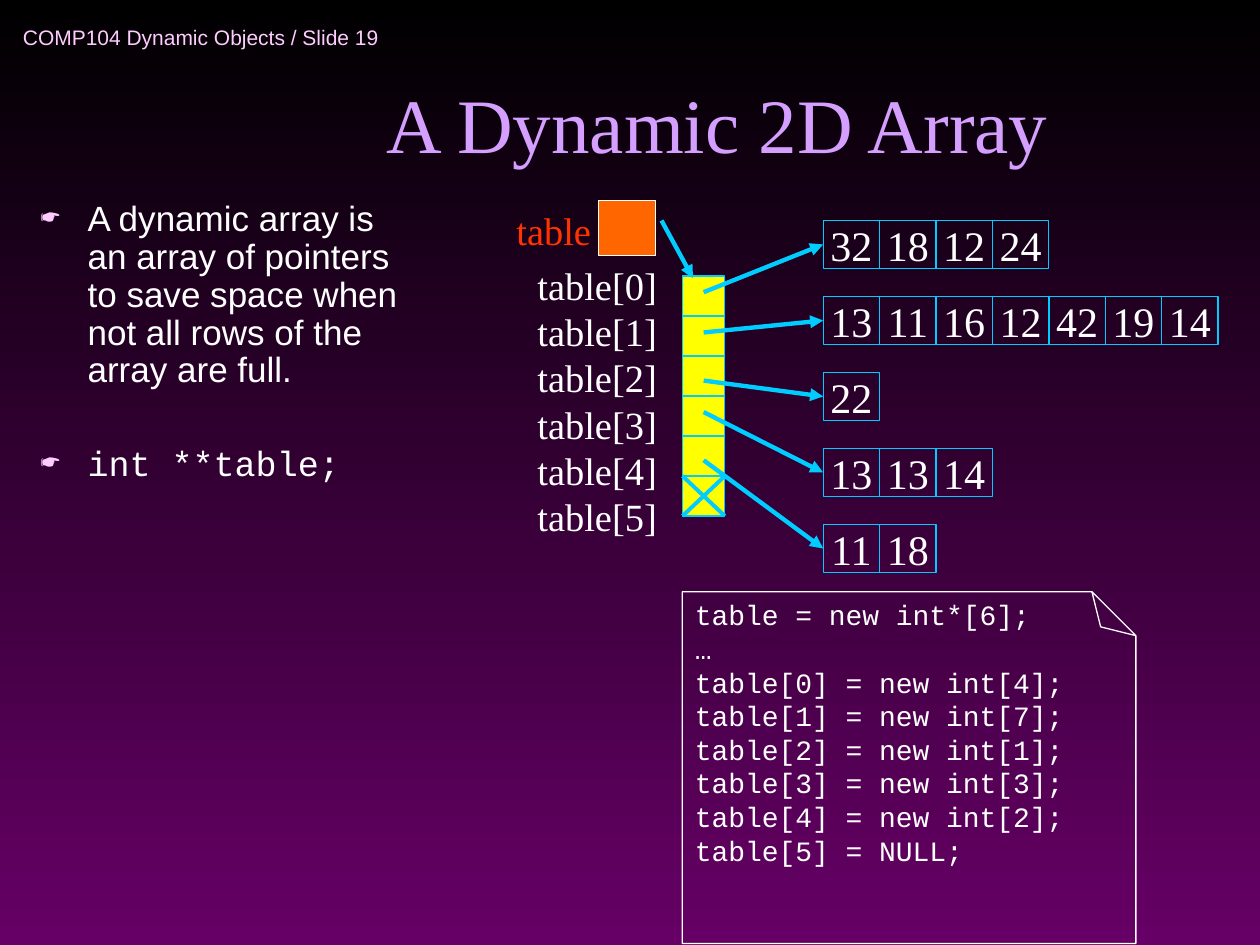
from lxml.etree import SubElement
from pptx import Presentation
from pptx.dml.color import RGBColor
from pptx.enum.shapes import MSO_CONNECTOR, MSO_SHAPE
from pptx.enum.text import MSO_ANCHOR as Anchor, MSO_AUTO_SIZE as AutoSize, PP_ALIGN as Align
from pptx.oxml.ns import qn
from pptx.util import Pt

COLORS = {
    "black": "000000", "purple": "660066", "white": "FFFFFF", "pink": "FFCCFF",
    "lilac": "D49FFF", "cyan": "00CCFF", "yellow": "FFFF00", "orange": "FF6600",
    "red": "FF3300",
}
SERIF, SANS, MONO = "Times New Roman", "Arial", "Courier New"

ROWS = [
    [32, 18, 12, 24],
    [13, 11, 16, 12, 42, 19, 14],
    [22],
    [13, 13, 14],
    [11, 18],
]
ARROW_STARTS = [167, 190, 217.5, 235.5, 263]
CODE = [
    "table = new int*[6];",
    "…",
    "table[0] = new int[4];",
    "table[1] = new int[7];",
    "table[2] = new int[1];",
    "table[3] = new int[3];",
    "table[4] = new int[2];",
    "table[5] = NULL;",
]

COLUMN_LEFT, COLUMN_TOP, COLUMN_WIDTH = 390, 157.7, 24.2
SLOTS, SLOT_HEIGHT = 6, 22.86
ROW_LEFT, ROW_TOP, ROW_PITCH = 470.4, 126, 43.44
CELL_WIDTH, CELL_HEIGHT = 32.24, 27.36


def color(name):
    return RGBColor.from_string(COLORS[name])


def write(shape, *lines, size, font=SERIF, ink="white", align=Align.LEFT,
          anchor=Anchor.TOP, wrap=True, fit=AutoSize.NONE):
    """Fill a shape with one paragraph per line and return the paragraphs."""
    frame = shape.text_frame
    frame.text = "\n".join(lines)
    frame.word_wrap = wrap
    frame.auto_size = fit
    frame.vertical_anchor = anchor
    for para in frame.paragraphs:
        para.alignment = align
        for span in para.runs:
            span.font.size = Pt(size)
            span.font.name = font
            span.font.color.rgb = color(ink)
    return frame.paragraphs


def add_text(page, left, top, width, height, *lines, **style):
    box = page.shapes.add_textbox(Pt(left), Pt(top), Pt(width), Pt(height))
    return write(box, *lines, **style)


def add_box(page, left, top, width, height, fill=None, line="cyan", kind=MSO_SHAPE.RECTANGLE):
    box = page.shapes.add_shape(kind, Pt(left), Pt(top), Pt(width), Pt(height))
    box.shadow.inherit = False
    if fill:
        box.fill.solid()
        box.fill.fore_color.rgb = color(fill)
    else:
        box.fill.background()
    box.line.color.rgb = color(line)
    box.line.width = Pt(0.75)
    return box


def add_line(page, start, end, width, arrow=False):
    line = page.shapes.add_connector(MSO_CONNECTOR.STRAIGHT, *map(Pt, start + end))
    line.line.color.rgb = color("cyan")
    line.line.width = Pt(width)
    properties = line._element.spPr
    if arrow:
        SubElement(properties.find(qn("a:ln")), qn("a:tailEnd"), type="triangle")
    SubElement(properties, qn("a:effectLst"))
    return line


def add_bullet(para):
    properties = para._p.get_or_add_pPr()
    properties.set("marL", str(Pt(27)))
    properties.set("indent", str(-Pt(27)))
    bullet_color = SubElement(properties, qn("a:buClr"))
    SubElement(bullet_color, qn("a:srgbClr"), val=COLORS["pink"])
    SubElement(properties, qn("a:buSzPct"), val="75000")
    SubElement(properties, qn("a:buChar"), char="☛")
    para.line_spacing = 0.9


def paint_background(page):
    fill = page.background.fill
    fill.gradient()
    fill.gradient_angle = 270
    for stop, name in zip(fill.gradient_stops, ("black", "purple")):
        stop.color.rgb = color(name)


def add_title(page, text):
    title = page.shapes.title
    title.left, title.top, title.width, title.height = Pt(100), Pt(46), Pt(620), Pt(54)
    write(title, text, size=44, ink="lilac", align=Align.CENTER, anchor=Anchor.BOTTOM)


def add_bullets(page):
    paras = add_text(
        page, 16, 111.6, 222, 405,
        "A dynamic array is an array of pointers to save space when not all rows of the array are full.",
        "int **table;", size=20, font=SANS)
    for para in paras:
        add_bullet(para)
    paras[1].space_before = Pt(32)
    paras[1].runs[0].font.name = MONO


def add_pointer_column(page):
    right = COLUMN_LEFT + COLUMN_WIDTH
    add_box(page, COLUMN_LEFT, COLUMN_TOP, COLUMN_WIDTH, SLOTS * SLOT_HEIGHT, fill="yellow")
    for slot in range(1, SLOTS):
        y = COLUMN_TOP + slot * SLOT_HEIGHT
        add_line(page, (COLUMN_LEFT, y), (right, y), 0.75)
    bottom = COLUMN_TOP + SLOTS * SLOT_HEIGHT
    top = bottom - SLOT_HEIGHT
    add_line(page, (right, top), (COLUMN_LEFT, bottom), 2.25)
    add_line(page, (COLUMN_LEFT, top), (right, bottom), 2.25)


def add_row(page, index, values):
    """Draw one row of cells and return the first cell."""
    top = ROW_TOP + index * ROW_PITCH
    cells = []
    for position, value in enumerate(values):
        cell = add_box(page, ROW_LEFT + position * CELL_WIDTH, top, CELL_WIDTH, CELL_HEIGHT)
        write(cell, str(value), size=24, align=Align.CENTER, anchor=Anchor.MIDDLE, wrap=False)
        cells.append(cell)
    return cells[0]


def add_rows(page):
    first_cells = [add_row(page, index, values) for index, values in enumerate(ROWS)]
    center = COLUMN_LEFT + COLUMN_WIDTH / 2
    for start, cell in zip(ARROW_STARTS, first_cells):
        arrow = add_line(page, (center, start), (ROW_LEFT, start), 2.5, arrow=True)
        arrow.end_connect(cell, 1)


def add_code_note(page):
    note = add_box(page, 419, 309, 201, 259.2, line="white", kind=MSO_SHAPE.FOLDED_CORNER)
    guides = note._element.spPr.find(qn("a:prstGeom")).get_or_add_avLst()
    SubElement(guides, qn("a:gd"), name="adj", fmla="val 12500")
    note.rotation = 270
    add_text(page, 390, 338.2, 227.5, 161.3, *CODE, size=16, font=MONO, fit=AutoSize.SHAPE_TO_FIT_TEXT)


def add_table_pointer(page):
    label = {"size": 22, "wrap": False, "fit": AutoSize.SHAPE_TO_FIT_TEXT}
    names = [f"table[{slot}]" for slot in range(SLOTS)]
    add_text(page, 300, 146.2, 82.8, 165.6, *names, **label)
    add_box(page, 342, 114.5, 32.4, 31.7, fill="orange", line="white")
    add_line(page, (378, 126), (396, 159), 2.5, arrow=True)
    add_text(page, 288, 114.5, 56.9, 33.8, "table", ink="red", **label)


def main():
    deck = Presentation()
    deck.slide_width, deck.slide_height = Pt(720), Pt(540)
    page = deck.slides.add_slide(deck.slide_layouts[5])
    paint_background(page)
    add_text(page, 6, 6, 198, 30, "COMP104 Dynamic Objects / Slide 19",
             size=12, font=SANS, ink="pink", anchor=Anchor.MIDDLE, wrap=False)
    add_title(page, "A Dynamic 2D Array")
    add_bullets(page)
    add_pointer_column(page)
    add_rows(page)
    add_code_note(page)
    add_table_pointer(page)
    deck.save("out.pptx")


if __name__ == "__main__":
    main()
